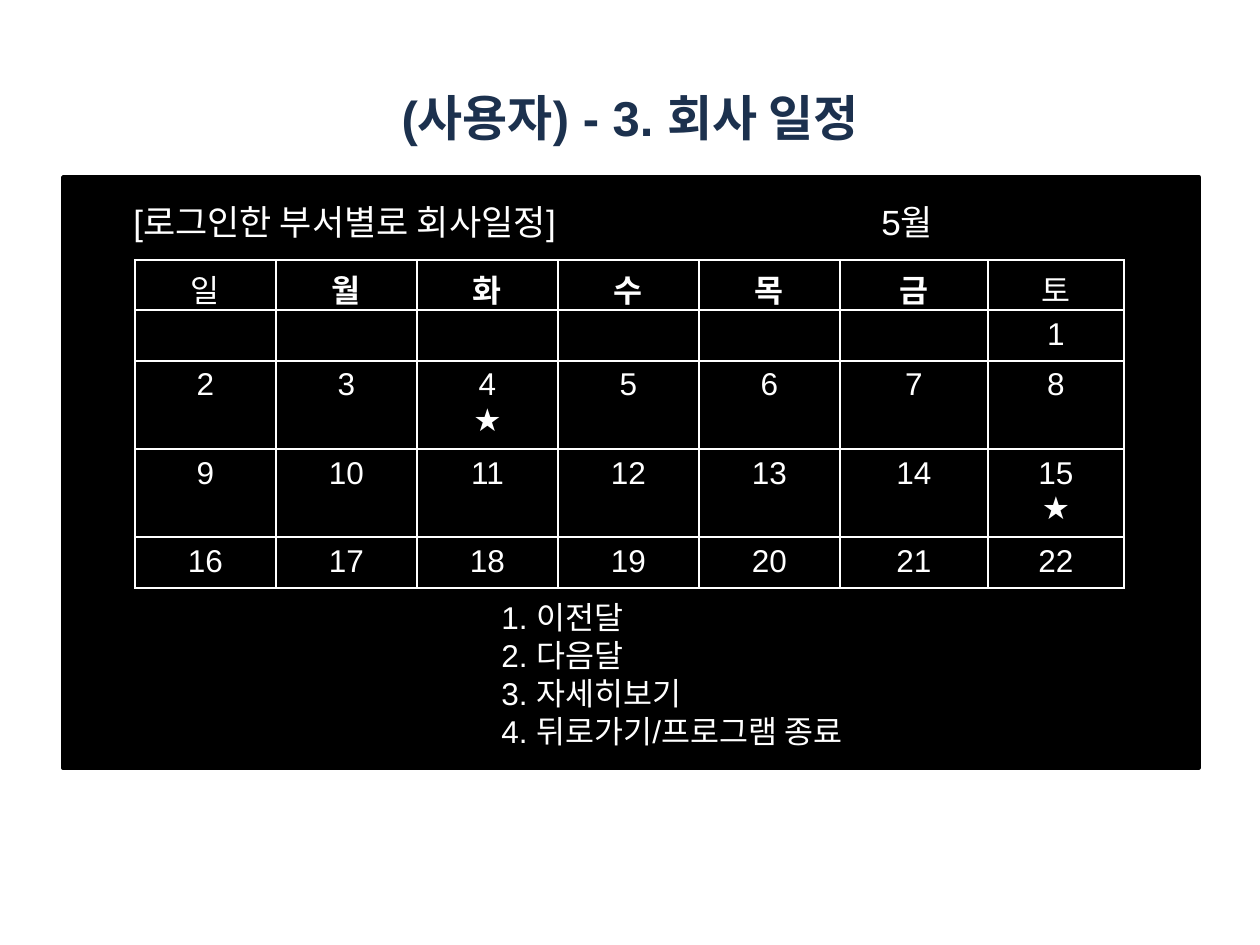
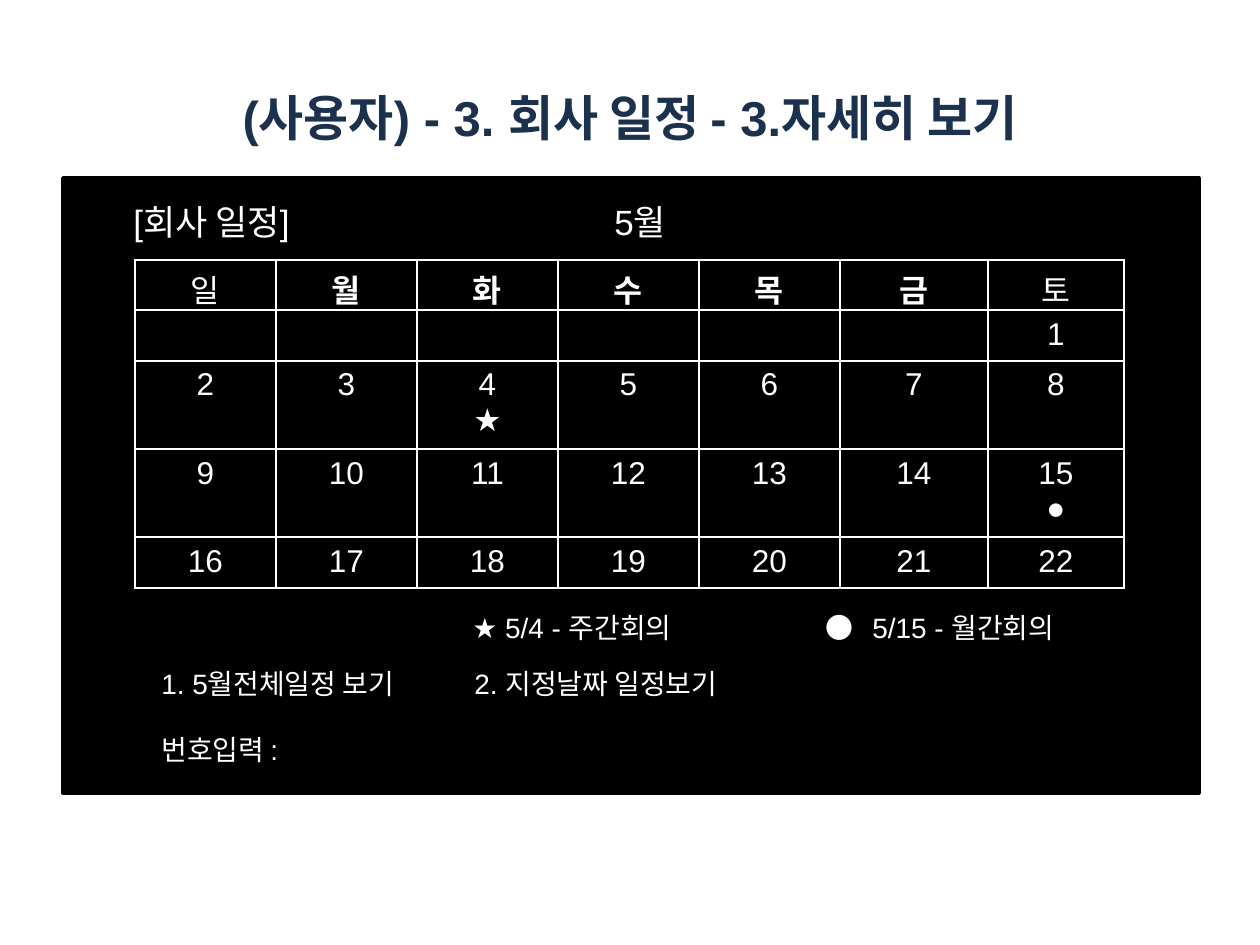
"""Builds two slides of a console-style company calendar."""
from lxml import etree
from pptx import Presentation
from pptx.dml.color import RGBColor
from pptx.enum.shapes import MSO_SHAPE
from pptx.enum.text import MSO_ANCHOR, PP_ALIGN
from pptx.oxml.ns import qn
from pptx.util import Pt

RECT = MSO_SHAPE.RECTANGLE
LEFT, CENTER = PP_ALIGN.LEFT, PP_ALIGN.CENTER
TOP, MIDDLE = MSO_ANCHOR.TOP, MSO_ANCHOR.MIDDLE

PX = 914400 / 126
FONT = "Arial"
NAVY, BLACK, WHITE = "1C314E", "000000", "FFFFFF"

WEEKDAYS = ["일", "월", "화", "수", "목", "금", "토"]
WEEKEND = (0, 6)
FIRST_DAY_COL = 6
COL_WIDTHS = [141, 141, 141, 141, 141, 148, 136]
ROW_HEIGHTS = [49, 50, 87, 87, 49]
TITLE_BOX = (63, 38, 1134, 158)
CALENDAR_AT = (135, 260)

SLIDES = [
    {
        "title": "(사용자) - 3. 회사 일정",
        "panel": (63, 177, 1136, 591),
        "marks": {4: "★", 15: "★"},
        "texts": [
            {"box": (121, 194, 1017, 54), "size": 20, "tabs": [748],
             "lines": [("[로그인한 부서별로 회사일정]", "5월")]},
            {"box": (489, 592, 710, 165), "size": 18,
             "lines": [("1. 이전달",), ("2. 다음달",), ("3. 자세히보기",),
                       ("4. 뒤로가기/프로그램 종료",)]},
        ],
    },
    {
        "title": "(사용자) - 3. 회사 일정 - 3.자세히 보기",
        "panel": (63, 178, 1136, 615),
        "marks": {4: "★", 15: "●"},
        "texts": [
            {"box": (121, 194, 708, 54), "size": 20, "tabs": [481],
             "lines": [("[회사 일정]", "5월")]},
            {"box": (460, 604, 739, 54), "size": 16, "tabs": [353, 400],
             "lines": [("★ 5/4 - 주간회의", "●", "5/15 - 월간회의")]},
            {"box": (149, 660, 940, 111), "size": 16, "tabs": [313], "gap": 19,
             "lines": [("1. 5월전체일정 보기", "2. 지정날짜 일정보기"),
                       ("번호입력 :",)]},
        ],
    },
]


def px(n):
    return round(n * PX)


def rgb(color):
    return RGBColor.from_string(color)


def write(tf, lines, size=18, color=WHITE, bold=False, align=LEFT,
          anchor=TOP, tabs=(), gap=0):
    tf.word_wrap = True
    tf.vertical_anchor = anchor
    for i, parts in enumerate(lines):
        p = tf.add_paragraph() if i else tf.paragraphs[0]
        p.alignment = align
        if i and gap:
            p.space_before = Pt(gap)
        if tabs:
            stops = etree.SubElement(p._p.get_or_add_pPr(), qn("a:tabLst"))
            for tab in tabs:
                etree.SubElement(stops, qn("a:tab"), pos=str(px(tab)), algn="l")
        r = p.add_run()
        r.text = "\t".join(parts)
        r.font.name, r.font.size, r.font.bold = FONT, Pt(size), bold
        r.font.color.rgb = rgb(color)


def add_text(s, box, lines, **fmt):
    write(s.shapes.add_textbox(*map(px, box)).text_frame, lines, **fmt)


def add_panel(s, box):
    sp = s.shapes.add_shape(RECT, *map(px, box))
    sp.shadow.inherit = False
    sp.fill.solid()
    sp.fill.fore_color.rgb = rgb(BLACK)
    sp.line.color.rgb = rgb(BLACK)
    sp.line.width = Pt(2)


def style_cell(cell):
    cell.fill.solid()
    cell.fill.fore_color.rgb = rgb(BLACK)
    tcPr = cell._tc.get_or_add_tcPr()
    for i, side in enumerate("LRTB"):
        ln = etree.Element(qn(f"a:ln{side}"), w=str(Pt(1.25)))
        fill = etree.SubElement(ln, qn("a:solidFill"))
        etree.SubElement(fill, qn("a:srgbClr"), val=WHITE)
        tcPr.insert(i, ln)


def add_calendar(s, marks):
    size = px(sum(COL_WIDTHS)), px(sum(ROW_HEIGHTS))
    table = s.shapes.add_table(len(ROW_HEIGHTS), len(COL_WIDTHS),
                               *map(px, CALENDAR_AT), *size).table
    table.first_row = table.horz_banding = False
    for col, width in zip(table.columns, COL_WIDTHS):
        col.width = px(width)
    for row, height in zip(table.rows, ROW_HEIGHTS):
        row.height = px(height)
    for r in range(len(ROW_HEIGHTS)):
        for c, weekday in enumerate(WEEKDAYS):
            cell = table.cell(r, c)
            style_cell(cell)
            day = (r - 1) * len(WEEKDAYS) + c - FIRST_DAY_COL + 1
            if r == 0:
                write(cell.text_frame, [(weekday,)], align=CENTER,
                      bold=c not in WEEKEND)
            elif day > 0:
                lines = [(str(day),)]
                if day in marks:
                    lines.append((marks[day],))
                write(cell.text_frame, lines, align=CENTER)


def main():
    prs = Presentation()
    prs.slide_width, prs.slide_height = px(1260), px(945)
    for content in SLIDES:
        s = prs.slides.add_slide(prs.slide_layouts[6])
        add_text(s, TITLE_BOX, [(content["title"],)], size=28, color=NAVY,
                 bold=True, align=CENTER, anchor=MIDDLE)
        add_panel(s, content["panel"])
        add_calendar(s, content["marks"])
        for text in content["texts"]:
            add_text(s, **text)
    prs.save("out.pptx")


if __name__ == "__main__":
    main()
